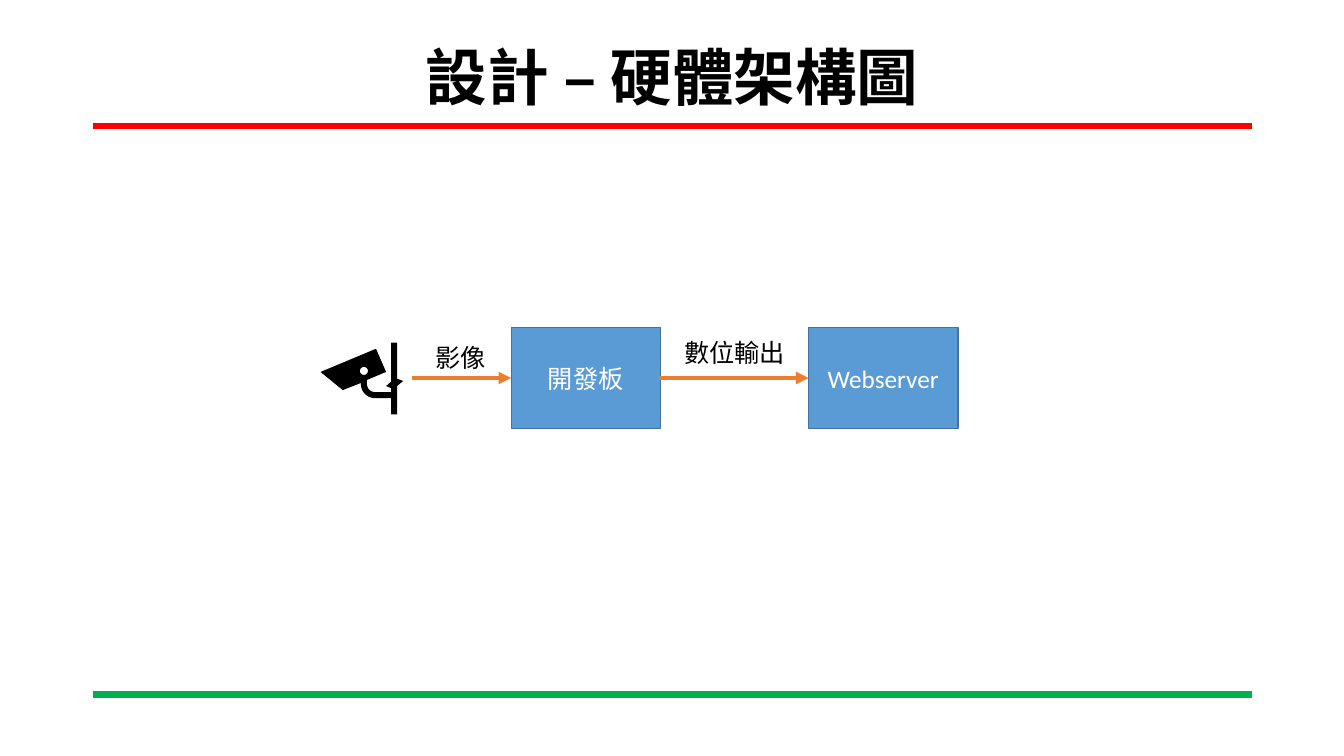
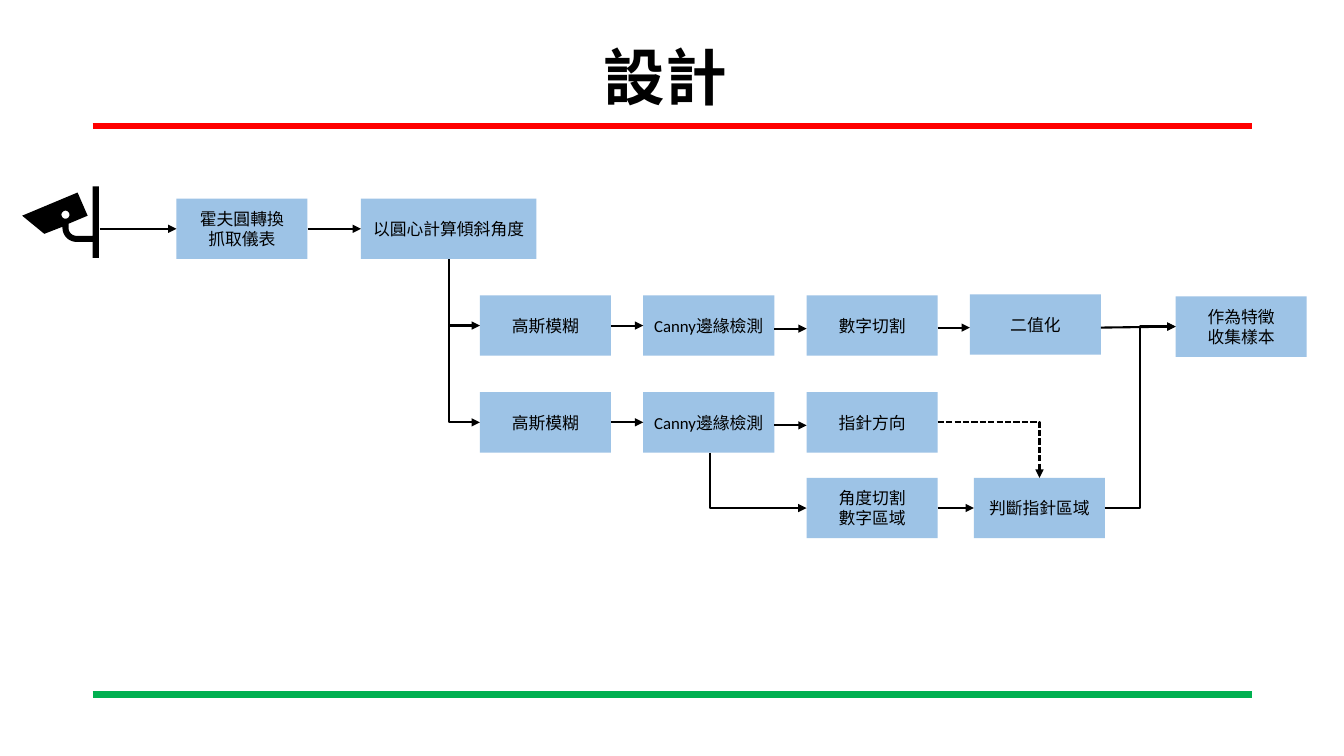
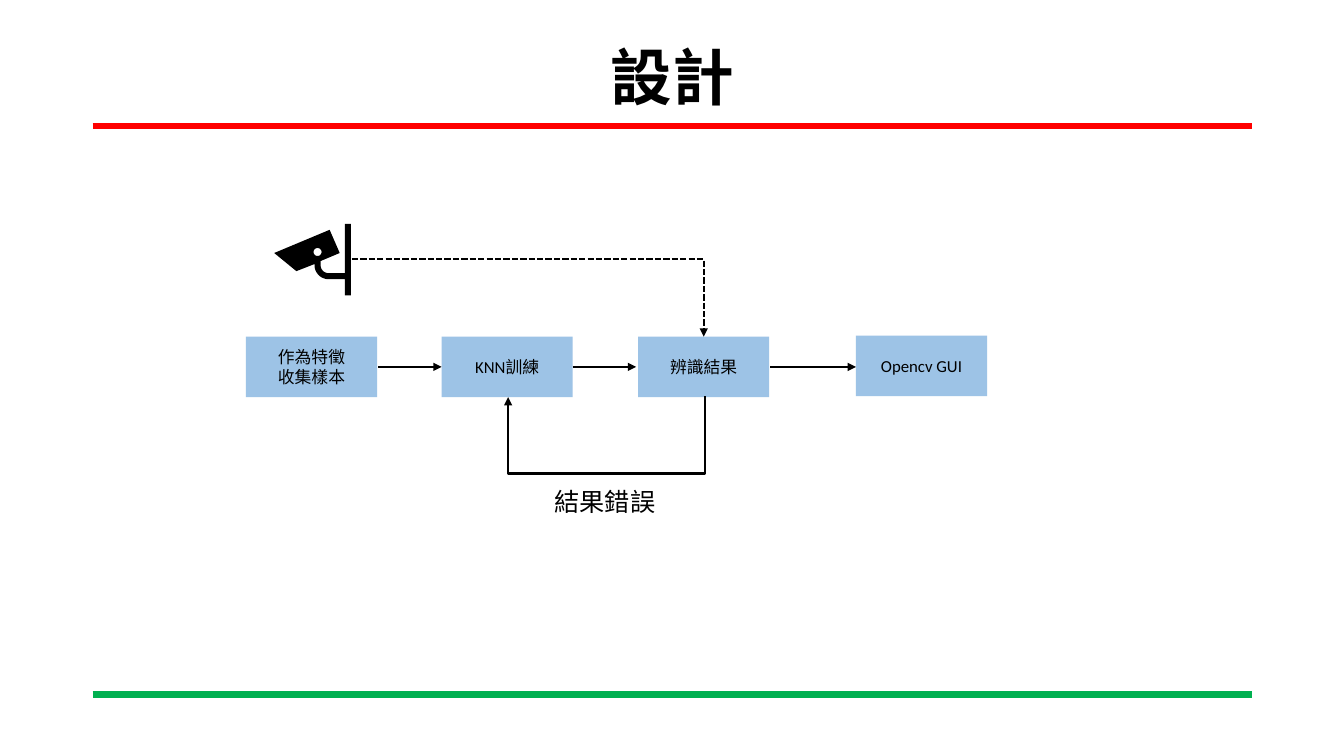
import math

import pptx
import pptx.dml.color
import pptx.enum.dml
import pptx.enum.shapes
import pptx.enum.text
import pptx.oxml.ns
import pptx.util
from lxml import etree
from pptx.util import Inches

COLORS = {
    "black": "000000", "white": "FFFFFF", "red": "FF0000", "green": "00B050",
    "step": "9DC3E6", "device": "5B9BD5", "device_edge": "43739E", "signal": "ED7D31",
}
BODY_FONT, LABEL_FONT, TITLE_FONT = "Calibri", "Noto Sans CJK SC", "Times New Roman"
STEP_W, STEP_H = 1.3, 0.6
CONNECTOR = pptx.enum.shapes.MSO_CONNECTOR
ALIGN = pptx.enum.text.PP_ALIGN
ANCHOR = pptx.enum.text.MSO_ANCHOR


def rgb(name):
    """Return the named colour."""
    return pptx.dml.color.RGBColor.from_string(COLORS[name])


def write(tf, text, size, font, color="black", bold=False, align=ALIGN.CENTER):
    """Fill a text frame, one paragraph per line of text."""
    tf.text = text
    for p in tf.paragraphs:
        p.alignment = align
        p.font.size = pptx.util.Pt(size)
        p.font.name = font
        p.font.bold = bold
        p.font.color.rgb = rgb(color)


def text_box(s, x, y, w, h, wrap=True):
    """Add an empty text box and return its text frame."""
    tf = s.shapes.add_textbox(Inches(x), Inches(y), Inches(w), Inches(h)).text_frame
    tf.word_wrap = wrap
    return tf


def label(s, x, y, w, text, wrap=False, align=ALIGN.CENTER):
    """Add a caption beside an arrow."""
    write(text_box(s, x, y, w, 0.4, wrap), text, 18, LABEL_FONT, align=align)


def box(s, x, y, w, h, text, size, fill, color, edge=None):
    """Add a filled rectangle with centred text."""
    sp = s.shapes.add_shape(pptx.enum.shapes.MSO_SHAPE.RECTANGLE,
                            Inches(x), Inches(y), Inches(w), Inches(h))
    sp.shadow.inherit = False
    sp.fill.solid()
    sp.fill.fore_color.rgb = rgb(fill)
    if edge:
        sp.line.color.rgb = rgb(edge)
        sp.line.width = pptx.util.Pt(1)
    else:
        sp.line.fill.background()
    sp.text_frame.vertical_anchor = ANCHOR.MIDDLE
    write(sp.text_frame, text, size, BODY_FONT, color)


def step(s, x, y, text, w=STEP_W):
    """Add one processing step."""
    box(s, x, y, w, STEP_H, text, 12, "step", "black")


def device(s, x, text):
    """Add one hardware unit."""
    box(s, x, 3.25, 1.48, 1, text, 18, "device", "white", "device_edge")


def line(s, start, end, color="black", width=1.5, head=True, dashed=False,
         kind=CONNECTOR.STRAIGHT):
    """Add a connector, by default with an arrowhead at its end."""
    c = s.shapes.add_connector(kind, *(Inches(v) for v in (*start, *end)))
    c.line.color.rgb = rgb(color)
    c.line.width = pptx.util.Pt(width)
    if dashed:
        c.line.dash_style = pptx.enum.dml.MSO_LINE.SQUARE_DOT
    qn = pptx.oxml.ns.qn
    if head:
        etree.SubElement(c.line._get_or_add_ln(), qn("a:tailEnd"), type="triangle")
    etree.SubElement(c._element.spPr, qn("a:effectLst"))
    return c


def elbow(s, start, end, down=False, drop=None, dashed=False):
    """Add a bent arrow with one corner, or two if it must first drop and return."""
    c = line(s, start, end, dashed=dashed, kind=CONNECTOR.ELBOW)
    qn = pptx.oxml.ns.qn
    geom = c._element.spPr.find(qn("a:prstGeom"))
    if drop is None:
        geom.set("prst", "bentConnector2")
    (x1, y1), (x2, y2) = start, end
    if down:
        w, h = abs(y2 - y1), abs(x2 - x1)
        c.left, c.top = Inches((x1 + x2 - w) / 2), Inches((y1 + y2 - h) / 2)
        c.width, c.height = Inches(w), Inches(h)
        xfrm = c._element.spPr.find(qn("a:xfrm"))
        xfrm.set("rot", "16200000" if x2 > x1 else "5400000")
        xfrm.set("flipH", "1" if x2 > x1 else "0")
        if drop is not None:
            guides = geom.find(qn("a:avLst"))
            etree.SubElement(guides, qn("a:gd"), name="adj1",
                             fmla=f"val {round(drop / w * 100000)}")


def arc(cx, cy, radius, first, last, count=12):
    """Return points along an arc, with angles in degrees."""
    angles = (math.radians(first + (last - first) * i / count) for i in range(count + 1))
    return [(cx + radius * math.cos(a), cy + radius * math.sin(a)) for a in angles]


def outline(s, x, y, *contours):
    """Add a black freeform from closed contours placed at x, y."""
    placed = [[(Inches(x + px), Inches(y + py)) for px, py in c] for c in contours]
    builder = s.shapes.build_freeform(*placed[0][0])
    for i, points in enumerate(placed):
        if i:
            builder.move_to(*points[0])
        builder.add_line_segments(points[1:], close=True)
    sp = builder.convert_to_shape()
    sp.shadow.inherit = False
    sp.fill.solid()
    sp.fill.fore_color.rgb = rgb("black")
    sp.line.fill.background()


def camera(s, x, y):
    """Add the wall camera symbol."""
    lens = arc(0.44, 0.28, 0.04, 0, 360, 24)
    body = [(0.01, 0.29), (0.56, 0.06), (0.66, 0.29), (0.47, 0.37),
            *arc(0.55, 0.41, 0.08, 180, 90),
            (0.71, 0.49), (0.71, 0), (0.77, 0), (0.77, 0.71), (0.71, 0.71), (0.71, 0.55),
            *arc(0.55, 0.41, 0.14, 90, 180), (0.41, 0.4), (0.23, 0.47)]
    outline(s, x, y, lens, body)


def new_slide(prs, title):
    """Add a blank slide with the shared rules and title."""
    s = prs.slides.add_slide(prs.slide_layouts[6])
    for y, color in ((1.25, "red"), (6.89, "green")):
        line(s, (0.92, y), (12.42, y), color, 4.5, head=False)
    tf = text_box(s, 0.92, 0.4, 11.5, 0.79)
    tf.vertical_anchor = ANCHOR.MIDDLE
    write(tf, title, 44, TITLE_FONT, bold=True)
    tf.paragraphs[0].line_spacing = 0.9
    return s


def hardware_slide(prs):
    """Show the camera, the board and the server."""
    s = new_slide(prs, "設計 – 硬體架構圖")
    device(s, 5.07, "開發板")
    device(s, 8.02, "Webserver")
    for x1, x2 in ((4.09, 5.07), (6.54, 8.02)):
        line(s, (x1, 3.75), (x2, 3.75), "signal", 3)
    label(s, 4.21, 3.35, 0.71, "影像")
    label(s, 6.68, 3.3, 1.21, "數位輸出")
    camera(s, 3.17, 3.4)
    outline(s, 3.83, 3.75, [(0.09, 0), (0, 0.08), (0.07, 0.11), (0.17, 0.03)])


def sampling_slide(prs):
    """Show the steps from the camera to the samples."""
    s = new_slide(prs, "設計 ")
    camera(s, 0.21, 1.85)
    step(s, 1.75, 1.97, "霍夫圓轉換\n抓取儀表")
    step(s, 3.58, 1.97, "以圓心計算傾斜角度", 1.74)
    for x1, x2 in ((0.99, 1.75), (3.05, 3.58)):
        line(s, (x1, 2.27), (x2, 2.27))

    blur, edges, third = (4.76 + 1.62 * i for i in range(3))
    for y, result in ((2.93, "數字切割"), (3.89, "指針方向")):
        middle = y + STEP_H / 2
        for x, text in ((blur, "高斯模糊"), (edges, "Canny邊緣檢測"), (third, result)):
            step(s, x, y, text)
        elbow(s, (4.45, 2.57), (blur, middle), down=True)
        line(s, (blur + STEP_W, middle), (edges, middle))
        line(s, (edges + STEP_W, middle + 0.03), (third, middle + 0.03))

    step(s, 9.62, 2.92, "二值化")
    step(s, third, 4.74, "角度切割\n數字區域")
    step(s, 9.66, 4.74, "判斷指針區域")
    step(s, 11.66, 2.94, "作為特徵\n收集樣本")
    line(s, (9.3, 3.25), (9.62, 3.25))
    line(s, (9.3, 5.04), (9.66, 5.04))
    line(s, (10.92, 3.25), (11.66, 3.24))
    elbow(s, (7.04, 4.49), (third, 5.04), down=True)
    elbow(s, (9.3, 4.19), (10.31, 4.74), dashed=True)
    line(s, (10.96, 5.04), (11.66, 3.24), kind=CONNECTOR.ELBOW)


def recognition_slide(prs):
    """Show training, recognition and the feedback loop."""
    s = new_slide(prs, "設計")
    for x, y, text in ((2.44, 3.34, "作為特徵\n收集樣本"), (4.38, 3.34, "KNN訓練"),
                       (6.33, 3.34, "辨識結果"), (8.49, 3.33, "Opencv GUI")):
        step(s, x, y, text)
    for x1, x2 in ((3.75, 4.38), (5.68, 6.31), (7.64, 8.49)):
        line(s, (x1, 3.64), (x2, 3.64))
    camera(s, 2.71, 2.22)
    elbow(s, (3.49, 2.57), (6.98, 3.34), dashed=True)
    elbow(s, (6.99, 3.93), (5.04, 3.94), down=True, drop=0.78)
    label(s, 5.4, 4.78, 1.39, "結果錯誤", wrap=True, align=ALIGN.LEFT)


def main():
    """Build and save the deck."""
    prs = pptx.Presentation()
    prs.slide_width, prs.slide_height = Inches(13.33), Inches(7.5)
    hardware_slide(prs)
    sampling_slide(prs)
    recognition_slide(prs)
    prs.save("out.pptx")


main()
